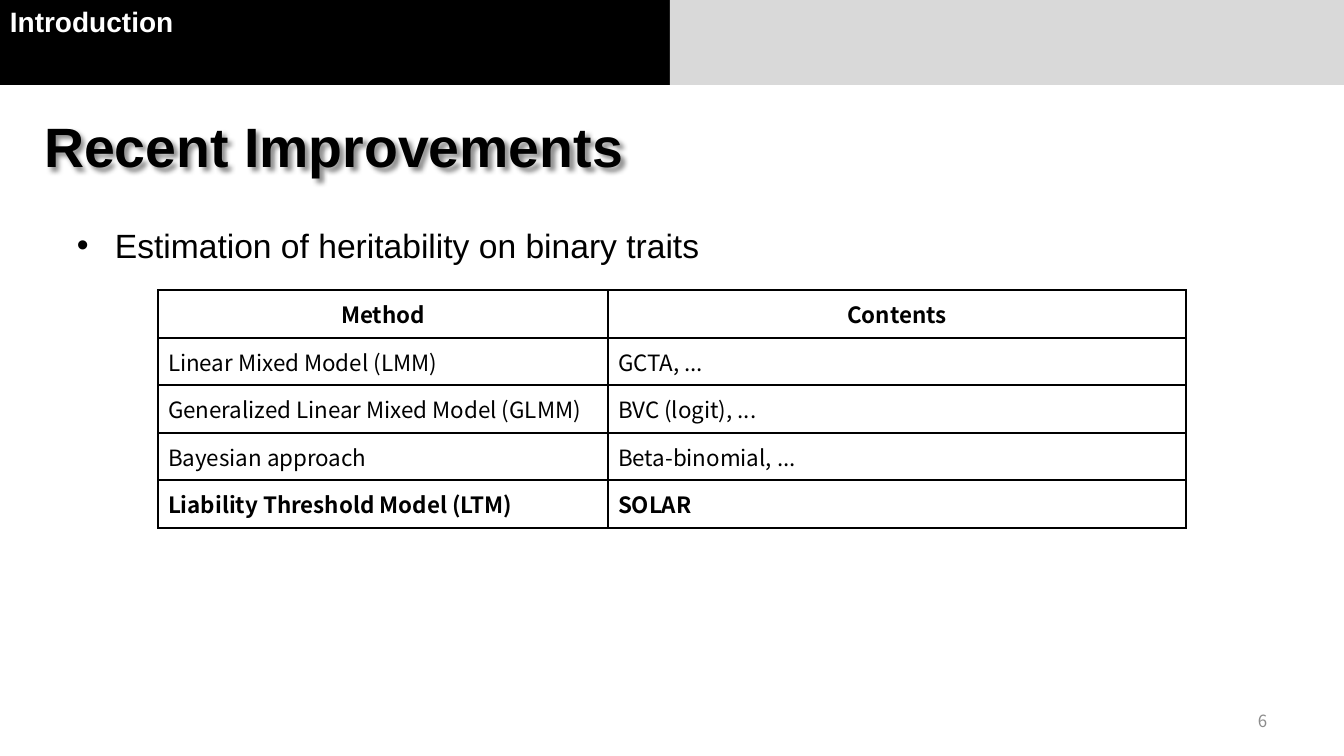
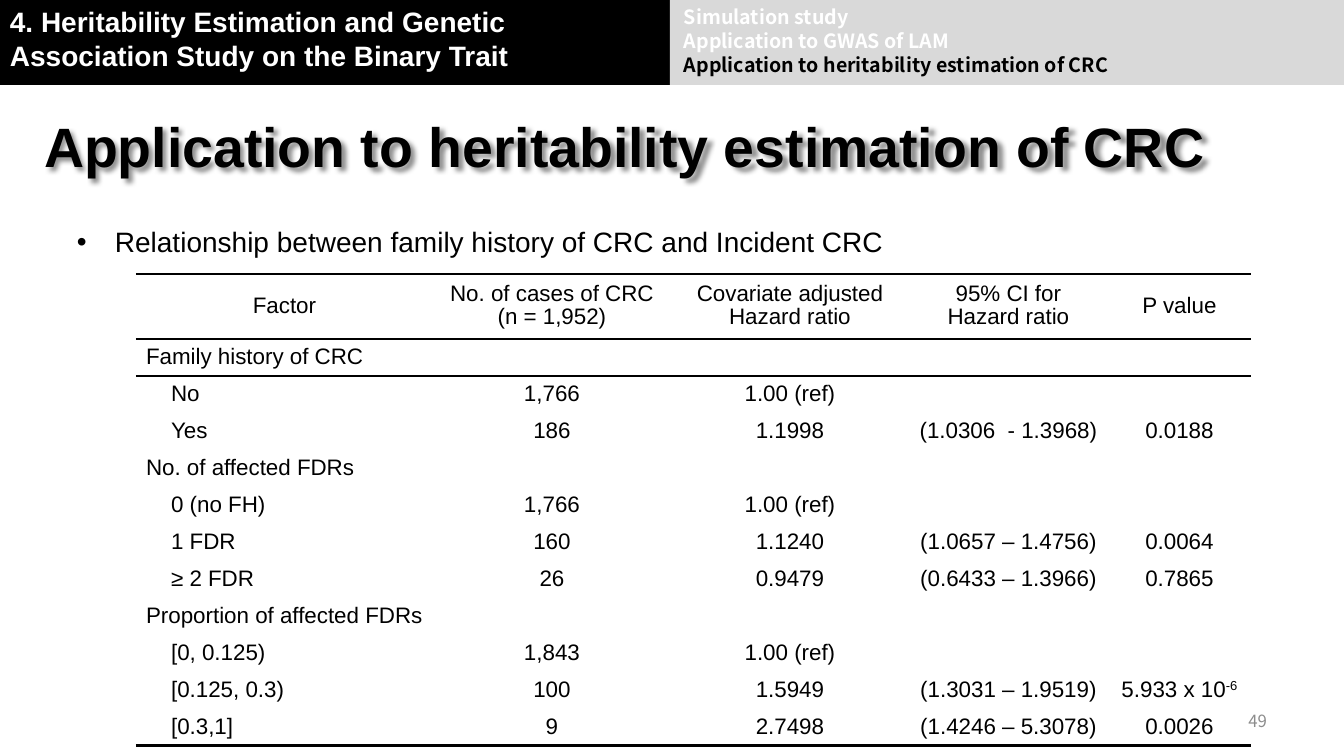
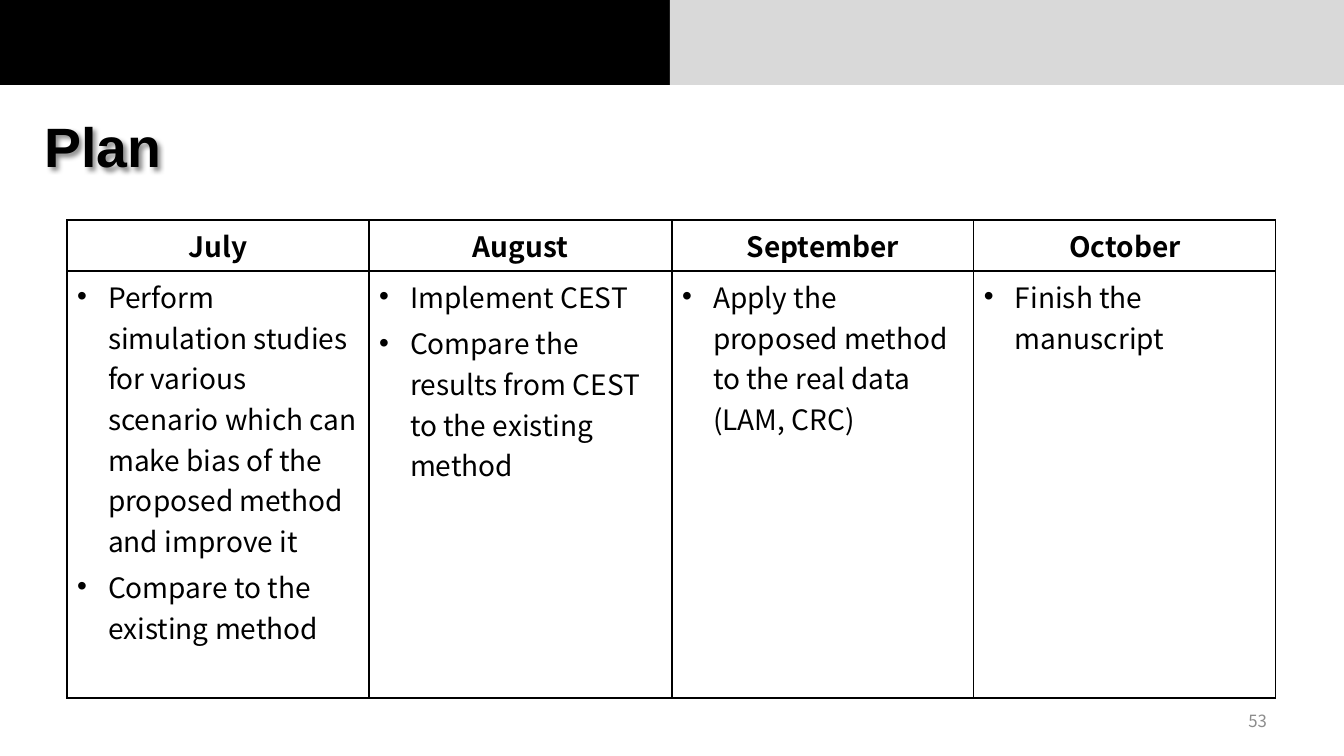
"""Build three slides on heritability estimation for binary traits."""
from dataclasses import dataclass, replace

from lxml.etree import SubElement
from pptx import Presentation
from pptx.dml.color import RGBColor
from pptx.enum.shapes import MSO_SHAPE
from pptx.enum.text import MSO_ANCHOR, MSO_AUTO_SIZE, PP_ALIGN
from pptx.oxml.ns import qn
from pptx.util import Emu, Pt

RECT = MSO_SHAPE.RECTANGLE
TOP, MIDDLE = MSO_ANCHOR.TOP, MSO_ANCHOR.MIDDLE
LEFT, CENTER, RIGHT = PP_ALIGN.LEFT, PP_ALIGN.CENTER, PP_ALIGN.RIGHT
NO_FIT = MSO_AUTO_SIZE.NONE

EMU_PER_PX = 914400 / 100.8
ARIAL, NOTO = "Arial", "Noto Sans CJK KR"
BLACK, WHITE, BAND_GREY, NUMBER_GREY = "000000", "FFFFFF", "D9D9D9", "8C8C8C"


@dataclass(frozen=True)
class Box:
    """A rectangle in px."""
    x: int
    y: int
    w: int
    h: int


@dataclass(frozen=True)
class Style:
    """Character and paragraph format."""
    font: str
    size: float
    color: str = BLACK
    bold: bool = False
    align: PP_ALIGN = LEFT
    hang: int = 0
    indent: int = 0
    after: float = 0
    spacing: float | Pt | None = None


@dataclass(frozen=True)
class Table:
    """A table: rules holds the line weight at each row boundary."""
    x: int
    y: int
    cols: tuple[int, ...]
    rows: tuple[int, ...]
    cells: list[tuple[str, ...]]
    head: Style
    body: Style
    rules: tuple[float, ...]
    side: float = 1
    anchor: MSO_ANCHOR = MIDDLE
    first_align: PP_ALIGN = LEFT
    body_align: PP_ALIGN = LEFT
    indent: int = 0
    margin: int = 5
    bold_rows: tuple[int, ...] = ()


@dataclass(frozen=True)
class Page:
    """The content of one slide."""
    title: str
    number: int
    table: Table
    section: str = ""
    steps: tuple[str, ...] = ()
    current: int = -1
    bullet: str = ""
    bullet_size: int = 20


SLIDE = Box(0, 0, 1344, 756)
BLACK_BAND = Box(0, 0, 670, 85)
GREY_BAND = Box(670, 0, 674, 85)
TITLE_BOX = Box(34, 105, 1210, 80)
BODY_BOX = Box(67, 220, 1210, 488)
SECTION_BOX = Box(0, 0, 601, 78)
STEPS_BOX = Box(674, 0, 669, 82)
NUMBER_BOX = Box(964, 701, 313, 40)

TITLE_STYLE = Style(ARIAL, 39.6, bold=True)
SECTION_STYLE = Style(ARIAL, 20, WHITE, True, spacing=Pt(24))
STEP_STYLE = Style(NOTO, 14, WHITE, True, spacing=Pt(17))
NUMBER_STYLE = Style(NOTO, 12, NUMBER_GREY, align=RIGHT)
METHOD_STYLE = Style(NOTO, 16)
FACTOR_STYLE = Style(ARIAL, 16, spacing=0.93)
PLAN_STYLE = Style(NOTO, 20)

METHODS = [
    ("Method", "Contents"),
    ("Linear Mixed Model (LMM)", "GCTA, ..."),
    ("Generalized Linear Mixed Model (GLMM)", "BVC (logit), ..."),
    ("Bayesian approach", "Beta-binomial, ..."),
    ("Liability Threshold Model (LTM)", "SOLAR"),
]
FACTORS = [
    ("Factor", "No. of cases of CRC\n(n = 1,952)", "Covariate adjusted Hazard ratio",
     "95% CI for\nHazard ratio", "P value"),
    ("Family history of CRC", "", "", "", ""),
    ("No", "1,766", "1.00 (ref)", "", ""),
    ("Yes", "186", "1.1998", "(1.0306  - 1.3968)", "0.0188"),
    ("No. of affected FDRs", "", "", "", ""),
    ("0 (no FH)", "1,766", "1.00 (ref)", "", ""),
    ("1 FDR", "160", "1.1240", "(1.0657 – 1.4756)", "0.0064"),
    ("≥ 2 FDR", "26", "0.9479", "(0.6433 – 1.3966)", "0.7865"),
    ("Proportion of affected FDRs", "", "", "", ""),
    ("[0, 0.125)", "1,843", "1.00 (ref)", "", ""),
    ("[0.125, 0.3)", "100", "1.5949", "(1.3031 – 1.9519)", "5.933 x 10^-6"),
    ("[0.3,1]", "9", "2.7498", "(1.4246 – 5.3078)", "0.0026"),
]
PLAN = [
    ("July", "August", "September", "October"),
    ("Perform simulation studies for various scenario which can make bias of the "
     "proposed method and improve it\nCompare to the existing method",
     "Implement CEST\nCompare the results from CEST to the existing method",
     "Apply the proposed method to the real data (LAM, CRC)",
     "Finish the manuscript"),
]

PAGES = [
    Page("Recent Improvements", 6, section="Introduction",
         bullet="Estimation of heritability on binary traits", bullet_size=24,
         table=Table(158, 290, (450, 578), (48, 47, 48, 47, 48), METHODS,
                     replace(METHOD_STYLE, bold=True), METHOD_STYLE,
                     rules=(1,) * 6, bold_rows=(4,))),
    Page("Application to heritability estimation of CRC", 49,
         section="4. Heritability Estimation and Genetic Association Study on the Binary Trait",
         steps=("Simulation study", "Application to GWAS of LAM",
                "Application to heritability estimation of CRC"), current=2,
         bullet="Relationship between family history of CRC and Incident CRC",
         table=Table(136, 274, (297, 238, 238, 199, 143), (65,) + (37,) * 11, FACTORS,
                     FACTOR_STYLE, FACTOR_STYLE,
                     rules=(2.25, 1, 1) + (0,) * 9 + (2.25,), side=0,
                     body_align=CENTER, indent=25, margin=2)),
    Page("Plan", 53,
         table=Table(67, 220, (302, 303, 302, 302), (51, 427), PLAN,
                     replace(PLAN_STYLE, bold=True),
                     replace(PLAN_STYLE, hang=31, after=4),
                     rules=(1,) * 3, anchor=TOP)),
]


def px(n: float) -> Emu:
    """Turn px into EMU."""
    return Emu(round(n * EMU_PER_PX))


def rgb(value: str) -> RGBColor:
    """Turn a hex string into a colour."""
    return RGBColor.from_string(value)


def place(box: Box) -> tuple[Emu, Emu, Emu, Emu]:
    """Give left, top, width and height in EMU."""
    return px(box.x), px(box.y), px(box.w), px(box.h)


def format_paragraph(p, style: Style) -> None:
    """Apply a style to a paragraph and its runs."""
    pPr = p._p.get_or_add_pPr()
    if style.hang:
        pPr.set("marL", str(px(style.hang)))
        pPr.set("indent", str(-px(style.hang)))
        SubElement(pPr, qn("a:buFont"), typeface=ARIAL)
        SubElement(pPr, qn("a:buChar"), char="•")
    elif style.indent:
        pPr.set("marL", str(px(style.indent)))
    p.alignment = style.align
    if style.spacing:
        p.line_spacing = style.spacing
    if style.after:
        p.space_after = Pt(style.after)
    for r in p.runs:
        r.font.name = style.font
        r.font.size = Pt(style.size)
        r.font.bold = style.bold
        r.font.color.rgb = rgb(style.color)


def write(tf, text: str, style: Style) -> None:
    """Fill a text frame; a caret starts a superscript."""
    tf.text = text
    for p in tf.paragraphs:
        base, *powers = p.text.split("^")
        if powers:
            p.text = base
            for power in powers:
                r = p.add_run()
                r.text = power
                r._r.get_or_add_rPr().set("baseline", "30000")
        format_paragraph(p, style)


def add_text(s, box: Box, text: str, style: Style, anchor: MSO_ANCHOR = TOP):
    """Add a wrapping text box."""
    tf = s.shapes.add_textbox(*place(box)).text_frame
    tf.word_wrap = True
    tf.vertical_anchor = anchor
    write(tf, text, style)
    return tf


def add_band(s, box: Box, color: str) -> None:
    """Add a plain header band."""
    sp = s.shapes.add_shape(RECT, *place(box))
    sp.shadow.inherit = False
    sp.fill.solid()
    sp.fill.fore_color.rgb = rgb(color)
    sp.line.fill.background()


def set_title(s, text: str) -> None:
    """Place the title and give its text a soft shadow."""
    sp = s.shapes.title
    sp.left, sp.top, sp.width, sp.height = place(TITLE_BOX)
    tf = sp.text_frame
    tf.auto_size = NO_FIT
    tf.word_wrap = True
    tf.vertical_anchor = MIDDLE
    write(tf, text, TITLE_STYLE)
    sp.fill.background()
    sp.shadow.inherit = False
    effects = sp._element.spPr.find(qn("a:effectLst"))
    shadow = SubElement(effects, qn("a:outerShdw"), blurRad="38100", dist="38100",
                        dir="2700000", algn="tl")
    color = SubElement(shadow, qn("a:srgbClr"), val=BLACK)
    SubElement(color, qn("a:alpha"), val="43000")


def set_borders(cell, side: float, top: float, bottom: float) -> None:
    """Draw the four edges of a cell; weight 0 hides an edge."""
    tcPr = cell._tc.get_or_add_tcPr()
    for tag, weight in (("lnL", side), ("lnR", side), ("lnT", top), ("lnB", bottom)):
        ln = SubElement(tcPr, qn(f"a:{tag}"), w=str(Pt(weight)))
        if weight:
            fill = SubElement(ln, qn("a:solidFill"))
            SubElement(fill, qn("a:srgbClr"), val=BLACK)
        else:
            SubElement(ln, qn("a:noFill"))


def cell_style(t: Table, row: int, col: int) -> Style:
    """Choose the style of a cell from its row and column."""
    if row == 0:
        return replace(t.head, align=CENTER)
    has_values = bool(t.cells[row][1])
    return replace(t.body, bold=row in t.bold_rows,
                   align=t.body_align if col else t.first_align,
                   indent=t.indent if col == 0 and has_values else 0)


def add_table(s, t: Table) -> None:
    """Add a ruled table without fills."""
    box = Box(t.x, t.y, sum(t.cols), sum(t.rows))
    tbl = s.shapes.add_table(len(t.rows), len(t.cols), *place(box)).table
    tbl.first_row = tbl.horz_banding = False
    for column, width in zip(tbl.columns, t.cols):
        column.width = px(width)
    for i, height in enumerate(t.rows):
        tbl.rows[i].height = px(height)
        for j, text in enumerate(t.cells[i]):
            cell = tbl.cell(i, j)
            cell.vertical_anchor = t.anchor
            cell.margin_top = cell.margin_bottom = px(t.margin)
            set_borders(cell, t.side, t.rules[i], t.rules[i + 1])
            cell.fill.background()
            write(cell.text_frame, text, cell_style(t, i, j))


def add_page(prs, page: Page) -> None:
    """Add one slide with bands, title, table and number."""
    s = prs.slides.add_slide(prs.slide_layouts[5])
    add_band(s, BLACK_BAND, BLACK)
    add_band(s, GREY_BAND, BAND_GREY)
    set_title(s, page.title)
    if page.bullet:
        add_text(s, BODY_BOX, page.bullet, Style(ARIAL, page.bullet_size, hang=38))
    if page.section:
        add_text(s, SECTION_BOX, page.section, SECTION_STYLE)
    if page.steps:
        tf = add_text(s, STEPS_BOX, "\n".join(page.steps), STEP_STYLE)
        for r in tf.paragraphs[page.current].runs:
            r.font.color.rgb = rgb(BLACK)
    add_table(s, page.table)
    add_text(s, NUMBER_BOX, str(page.number), NUMBER_STYLE, MIDDLE)


def main() -> None:
    """Build and save the presentation."""
    prs = Presentation()
    prs.slide_width, prs.slide_height = px(SLIDE.w), px(SLIDE.h)
    for page in PAGES:
        add_page(prs, page)
    prs.save("out.pptx")


if __name__ == "__main__":
    main()
